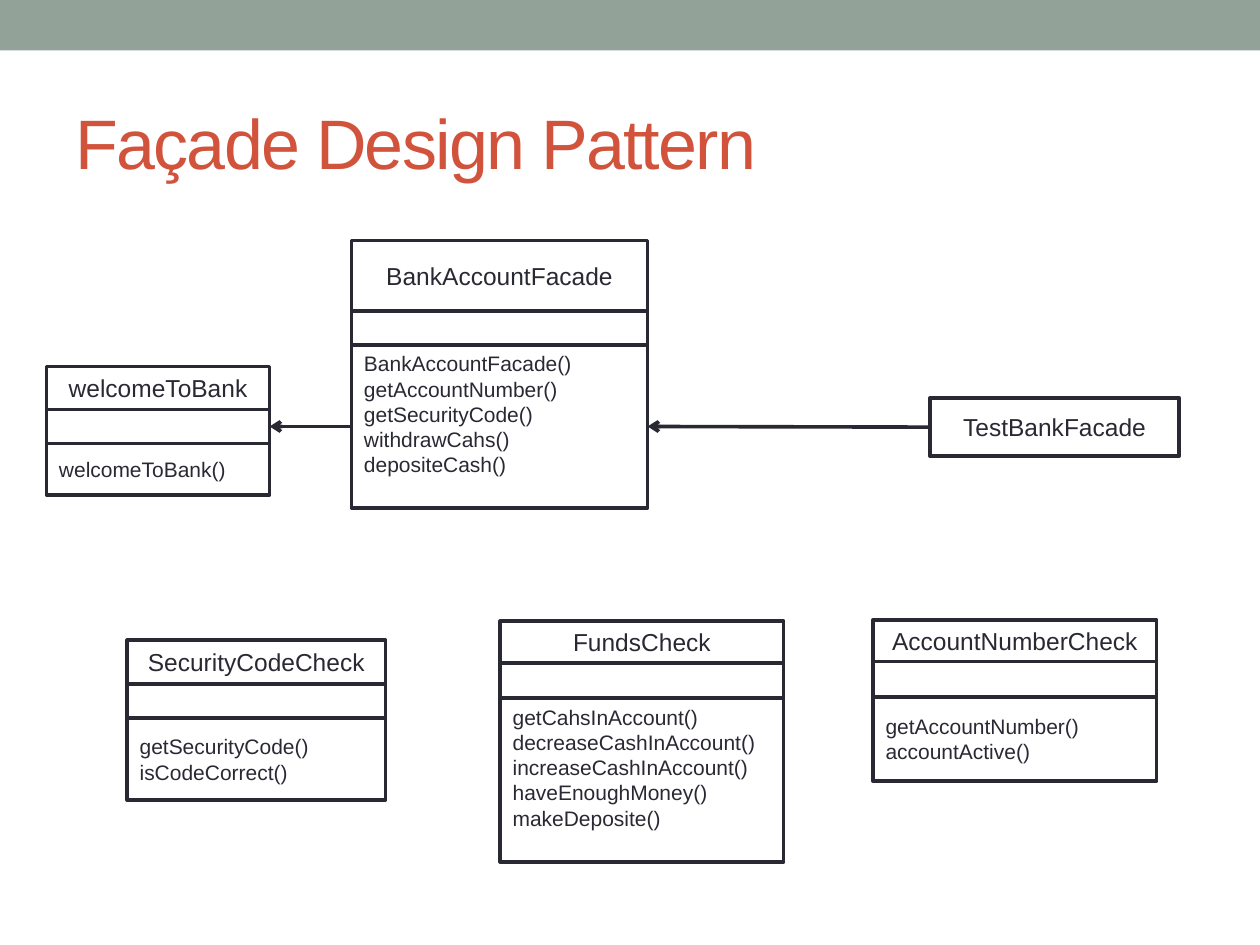
import pptx
import pptx.util
import pptx.dml.color
import pptx.enum.shapes
import pptx.enum.text
import pptx.oxml
import pptx.oxml.ns
from pptx.util import Inches

COLORS = {"band": "93A299", "title": "D2533C", "ink": "292934", "paper": "FFFFFF"}
LINE_WIDTH = pptx.util.Pt(2.08)
ALIGN = pptx.enum.text.PP_ALIGN
LEFT_SITE, RIGHT_SITE = 1, 3


def rgb(name):
    return pptx.dml.color.RGBColor.from_string(COLORS[name])


def write(frame, text, size=14, color="ink", align=ALIGN.LEFT, bottom=0.05, spacing=None):
    frame.word_wrap = True
    frame.auto_size = pptx.enum.text.MSO_AUTO_SIZE.NONE
    frame.vertical_anchor = pptx.enum.text.MSO_ANCHOR.MIDDLE
    frame.margin_bottom = Inches(bottom)
    frame.text = text
    for paragraph in frame.paragraphs:
        paragraph.alignment = align
        for run in paragraph.runs:
            run.font.name = "Arial"
            run.font.size = pptx.util.Pt(size)
            run.font.color.rgb = rgb(color)
            if spacing is not None:
                run.font._element.set("spc", str(spacing))


deck = pptx.Presentation()
deck.slide_width, deck.slide_height = Inches(10), Inches(7.5)
slide = deck.slides.add_slide(deck.slide_layouts[5])
RECTANGLE = pptx.enum.shapes.MSO_SHAPE.RECTANGLE

# Top band
band = slide.shapes.add_shape(RECTANGLE, 0, 0, deck.slide_width, Inches(0.4))
band.shadow.inherit = False
band.fill.solid()
band.fill.fore_color.rgb = rgb("band")
band.line.fill.background()

# Title
title = slide.shapes.title
title.left, title.top = Inches(0.5), Inches(0.58)
title.width, title.height = Inches(9), Inches(1.08)
write(title.text_frame, "Façade Design Pattern", size=40, color="title", spacing=-100)

# Class boxes: left, top, width, heights of name / attributes / methods, bottom inset, methods
classes = {
    "BankAccountFacade": (2.79, 1.91, 2.35, (0.56, 0.27, 1.29), 0.25, [
        "BankAccountFacade()", "getAccountNumber()", "getSecurityCode()",
        "withdrawCahs()", "depositeCash()"]),
    "welcomeToBank": (0.37, 2.91, 1.77, (0.34, 0.27, 0.41), 0.05, ["welcomeToBank()"]),
    "TestBankFacade": (7.38, 3.16, 1.98, (0.46,), 0.05, []),
    "SecurityCodeCheck": (1.01, 5.08, 2.05, (0.35, 0.27, 0.65), 0.05, [
        "getSecurityCode()", "isCodeCorrect()"]),
    "FundsCheck": (3.97, 4.93, 2.25, (0.33, 0.28, 1.3), 0.25, [
        "getCahsInAccount()", "decreaseCashInAccount()", "increaseCashInAccount()",
        "haveEnoughMoney()", "makeDeposite()"]),
    "AccountNumberCheck": (6.93, 4.92, 2.25, (0.33, 0.28, 0.67), 0.05, [
        "getAccountNumber()", "accountActive()"]),
}
compartments = {}
for class_name, (left, top, width, heights, inset, methods) in classes.items():
    compartments[class_name] = []
    for row, height in enumerate(heights):
        box = slide.shapes.add_shape(
            RECTANGLE, Inches(left), Inches(top), Inches(width), Inches(height))
        box.shadow.inherit = False
        box.fill.solid()
        box.fill.fore_color.rgb = rgb("paper")
        box.line.color.rgb = rgb("ink")
        box.line.width = LINE_WIDTH
        if row == 0:
            write(box.text_frame, class_name, align=ALIGN.CENTER)
        elif row == 2:
            write(box.text_frame, "\n".join(methods), size=12, bottom=inset)
        compartments[class_name].append(box)
        top += height

# Arrows between classes
facade_methods = compartments["BankAccountFacade"][2]
uses = [
    (facade_methods, compartments["welcomeToBank"][1]),
    (compartments["TestBankFacade"][0], facade_methods),
]
for user, used in uses:
    arrow = slide.shapes.add_connector(
        pptx.enum.shapes.MSO_CONNECTOR.STRAIGHT, 0, 0, 0, 0)
    arrow.begin_connect(user, LEFT_SITE)
    arrow.end_connect(used, RIGHT_SITE)
    arrow.line.color.rgb = rgb("ink")
    arrow.line.width = LINE_WIDTH
    namespace = pptx.oxml.ns.nsdecls("a")
    arrow.line._get_or_add_ln().append(
        pptx.oxml.parse_xml(f'<a:tailEnd {namespace} type="arrow"/>'))
    arrow._element.spPr.append(pptx.oxml.parse_xml(f"<a:effectLst {namespace}/>"))

deck.save("out.pptx")
